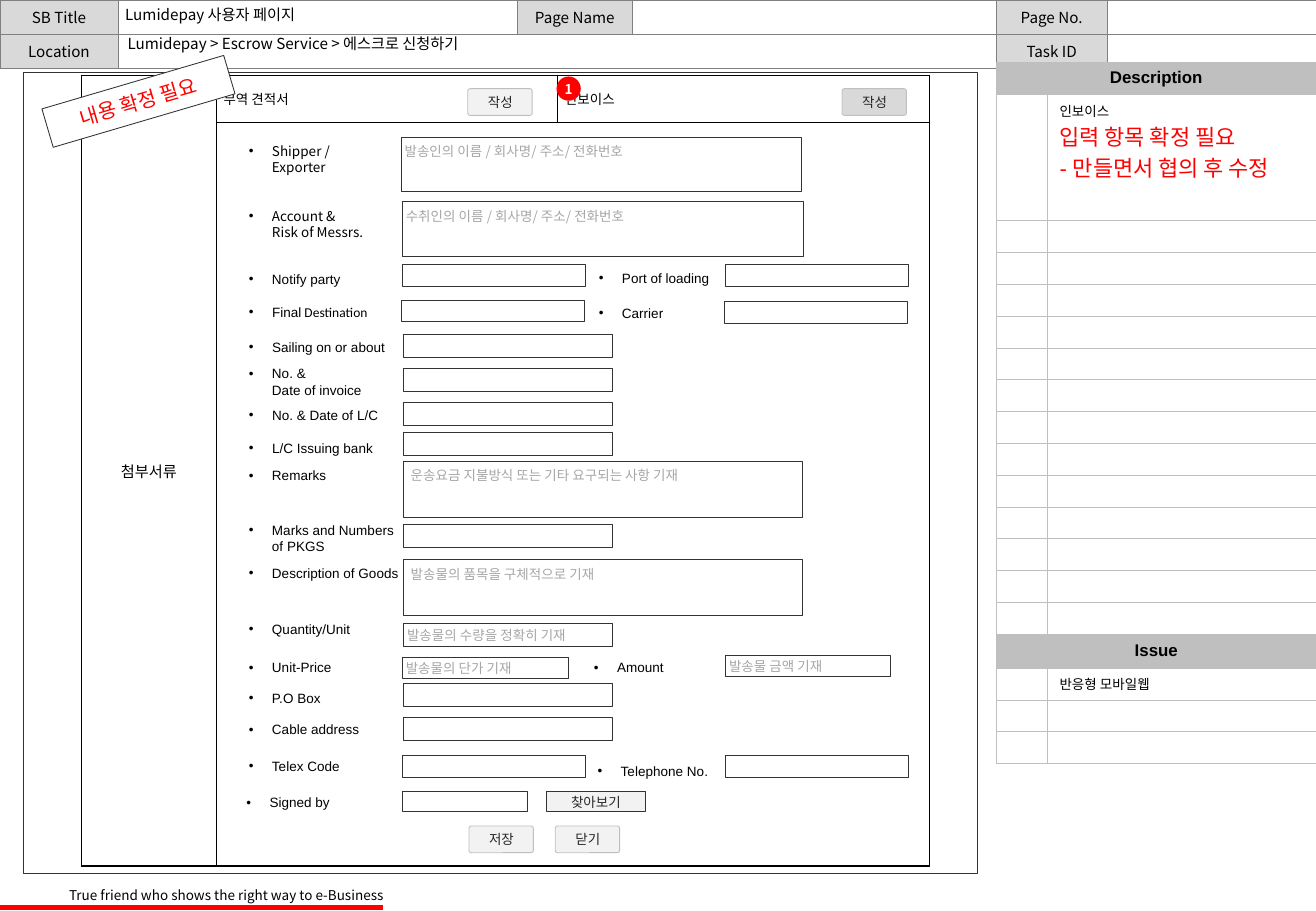
from dataclasses import dataclass
from typing import Optional

from lxml.etree import SubElement
from pptx import Presentation
from pptx.dml.color import RGBColor as Rgb
from pptx.enum.shapes import MSO_CONNECTOR as Link, MSO_SHAPE as Kind
from pptx.enum.text import MSO_ANCHOR as Anchor, PP_ALIGN as Align
from pptx.oxml.ns import qn
from pptx.util import Emu, Inches, Pt

BLACK = Rgb(0x00, 0x00, 0x00)
WHITE = Rgb(0xFF, 0xFF, 0xFF)
RED = Rgb(0xFF, 0x00, 0x00)
DARK = Rgb(0x33, 0x33, 0x33)
INK = Rgb(0x26, 0x26, 0x26)
HINT = Rgb(0xA6, 0xA6, 0xA6)
EDGE = Rgb(0x80, 0x80, 0x80)
MID = Rgb(0xBF, 0xBF, 0xBF)
PALE = Rgb(0xD9, 0xD9, 0xD9)
SOFT = Rgb(0xF2, 0xF2, 0xF2)
NOTO, ARIAL = "Noto Sans CJK KR", "Arial"

# The slide is a grid of 108.3 columns by 75 rows.
UNIT = Inches(0.1)


def grid(*spans: float) -> list[Emu]:
    return [Emu(round(span * UNIT)) for span in spans]


@dataclass
class Run:
    text: str
    size: float = 8
    color: Rgb = BLACK
    font: str = ARIAL
    bold: bool = False


@dataclass
class Box:
    x: float
    y: float
    w: float
    h: float
    run: Optional[Run] = None
    fill: Optional[Rgb] = None
    line: Optional[Rgb] = DARK
    kind: Kind = Kind.RECTANGLE
    pad: float = 0
    align: Align = Align.LEFT
    turn: float = 0


@dataclass
class Label:
    y: float
    runs: tuple[Run, ...]
    x: float = 19.5
    w: float = 11.6
    h: float = 2.4


@dataclass
class Cell:
    row: int
    col: int
    runs: tuple[Run, ...] = ()
    fill: Optional[Rgb] = None
    align: Align = Align.LEFT
    anchor: Anchor = Anchor.MIDDLE
    span: tuple[int, int] = (1, 1)


def write(par, run: Run) -> None:
    """Add a run; a newline in its text becomes a line break."""
    for n, part in enumerate(run.text.split("\n")):
        if n:
            par.add_line_break()
        bit = par.add_run()
        bit.text = part
        font = bit.font
        font.name, font.size, font.bold = run.font, Pt(run.size), run.bold
        font.color.rgb = run.color
        east = SubElement(font._element, qn("a:ea"))
        east.set("typeface", NOTO)


def draw(shapes, box: Box) -> None:
    shape = shapes.add_shape(box.kind, *grid(box.x, box.y, box.w, box.h))
    shape.shadow.inherit = False
    shape.rotation = box.turn
    if box.kind == Kind.ROUNDED_RECTANGLE:
        shape.adjustments[0] = 0.09
    if box.fill is None:
        shape.fill.background()
    else:
        shape.fill.solid()
        shape.fill.fore_color.rgb = box.fill
    if box.line is None:
        shape.line.fill.background()
    else:
        shape.line.color.rgb = box.line
        shape.line.width = Pt(0.5)
    if box.run:
        frame = shape.text_frame
        frame.margin_left, frame.margin_right = grid(box.pad, 0)
        frame.vertical_anchor = Anchor.TOP if box.h > 4 else Anchor.MIDDLE
        frame.paragraphs[0].alignment = box.align
        write(frame.paragraphs[0], box.run)


def tag(shapes, label: Label) -> None:
    """Add a bulleted form label."""
    frame = shapes.add_textbox(*grid(label.x, label.y, label.w, label.h)).text_frame
    frame.word_wrap = True
    par = frame.paragraphs[0]
    props = par._p.get_or_add_pPr()
    props.set("marL", str(Inches(0.19)))
    props.set("indent", str(-Inches(0.19)))
    SubElement(props, qn("a:buFont")).set("typeface", ARIAL)
    SubElement(props, qn("a:buChar")).set("char", "•")
    for run in label.runs:
        write(par, run)


def head(shapes, x: float, y: float, w: float, text: str) -> None:
    frame = shapes.add_textbox(*grid(x, y, w, 2.4)).text_frame
    frame.word_wrap = True
    frame.vertical_anchor = Anchor.MIDDLE
    frame.margin_left, frame.margin_right, frame.margin_top, frame.margin_bottom = grid(*[0.4] * 4)
    par = frame.paragraphs[0]
    par.line_spacing = 0.9
    write(par, Run(text, 9, font=NOTO))


def table(shapes, x: float, y: float, cols: list[float], rows: list[float],
          cells: list[Cell], edge: Rgb, width: float, base: Optional[Rgb] = None,
          pad: tuple[float, float] = (1, 0.5)) -> None:
    tab = shapes.add_table(len(rows), len(cols), *grid(x, y, sum(cols), sum(rows))).table
    tab.first_row = tab.horz_banding = False
    for col, size in zip(tab.columns, grid(*cols)):
        col.width = size
    for row, size in zip(tab.rows, grid(*rows)):
        row.height = size
    for cell in tab.iter_cells():
        props = cell._tc.get_or_add_tcPr()
        for side in "LRTB":
            line = SubElement(props, qn(f"a:ln{side}"), w=str(Pt(width)))
            SubElement(SubElement(line, qn("a:solidFill")), qn("a:srgbClr"), val=str(edge))
        paint(cell, base)
        cell.margin_left, cell.margin_right, cell.margin_top, cell.margin_bottom = grid(
            pad[0], pad[0], pad[1], pad[1])
    filled = {(item.row, item.col) for item in cells if item.runs}
    for r in range(len(rows)):
        for c in range(len(cols)):
            if (r, c) not in filled:
                par = tab.cell(r, c).text_frame.paragraphs[0]
                SubElement(par._p, qn("a:endParaRPr"), sz="800")
    for item in cells:
        cell = tab.cell(item.row, item.col)
        if item.span != (1, 1):
            cell.merge(tab.cell(item.row + item.span[0] - 1, item.col + item.span[1] - 1))
        paint(cell, item.fill or base)
        cell.vertical_anchor = item.anchor
        for n, run in enumerate(item.runs):
            frame = cell.text_frame
            par = frame.add_paragraph() if n else frame.paragraphs[0]
            par.alignment = item.align
            write(par, run)


def paint(cell, color: Optional[Rgb]) -> None:
    if color is None:
        cell.fill.background()
    else:
        cell.fill.solid()
        cell.fill.fore_color.rgb = color


def field(x: float, y: float, w: float = 17.2, h: float = 1.9, hint: str = "", pad: float = 0.3) -> Box:
    return Box(x, y, w, h, Run(hint, color=HINT, font=NOTO) if hint else None, pad=pad)


def button(x: float, y: float, text: str, fill: Rgb = SOFT) -> Box:
    return Box(x, y, 5.3, 2.2, Run(text, color=INK, font=NOTO), fill, MID,
               Kind.ROUNDED_RECTANGLE, 1.6)


def label(y: float, text: str, x: float = 19.5, w: float = 11.6, h: float = 2.4, font: str = ARIAL) -> Label:
    return Label(y, (Run(text, font=font),), x, w, h)


LABELS = [
    label(11.3, "Shipper / Exporter", h=3.7, font=NOTO),
    label(16.6, "Account & \nRisk of Messrs.", h=3.7, font=NOTO),
    label(21.8, "Notify party"), label(21.7, "Port of loading", 48.3, 15.8),
    Label(24.5, (Run("Final"), Run(" Destination", font="Calibri")), w=15.8),
    label(24.6, "Carrier", 48.3), label(27.4, "Sailing on or about", w=13.2),
    label(29.6, "No. & \nDate of invoice", h=3.7),
    label(33, "No. & Date of L/C", w=13.9), label(35.7, "L/C Issuing bank", w=13.2),
    label(38, "Remarks"), label(42.5, "Marks and Numbers of PKGS", w=14.7, h=3.7),
    label(46, "Description of Goods", w=14.7), label(50.6, "Quantity/Unit"),
    label(53.8, "Unit-Price"), label(53.8, "Amount", 47.9),
    label(56.3, "P.O Box"), label(58.9, "Cable address"),
    label(61.9, "Telex Code"), label(62.3, "Telephone No.", 48.2),
    label(64.9, "Signed by", 19.3),
]
PLAIN = [field(33.2, y) for y in (27.5, 30.3, 33.1, 35.6, 43.2, 56.3, 59.1)]
PAIRS = [field(x, y, 15.1, 1.8) for x, y in (
    (33.1, 21.8), (59.7, 21.8), (33, 24.7), (59.6, 24.8), (33.1, 62.2), (59.7, 62.2))]
HINTS = [
    field(33, 11.3, 33, 4.5, "발송인의 이름 / 회사명/ 주소/ 전화번호"),
    field(33.1, 16.6, 33, 4.5, "수취인의 이름 / 회사명/ 주소/ 전화번호"),
    field(33.2, 38, 32.8, 4.6, "운송요금 지불방식 또는 기타 요구되는 사항 기재", 0.6),
    field(33.2, 46.1, 32.8, 4.6, "발송물의 품목을 구체적으로 기재", 0.6),
    field(33.2, 51.3, hint="발송물의 수량을 정확히 기재"),
    field(33.1, 54.1, 13.7, 1.8, "발송물의 단가 기재"),
    field(59.7, 54, 13.6, 1.7, "발송물 금액 기재"),
]
BUTTONS = [button(69.3, 7.3, "작성", PALE), button(38.5, 7.3, "작성"),
           button(38.6, 68, "저장"), button(45.7, 68, "닫기")]
MARKS = [
    Box(45, 65.2, 8.1, 1.6, Run("찾아보기", color=INK, font=NOTO), SOFT, align=Align.CENTER),
    Box(33.1, 65.2, 10.3, 1.6, fill=WHITE),
    Box(45.8, 6.3, 2, 2, Run("1", 8, WHITE, NOTO, True), RED, None, Kind.OVAL, align=Align.CENTER),
    Box(3.6, 6.7, 15.6, 3.3, Run("내용 확정 필요", 12, RED, NOTO), WHITE, align=Align.CENTER, turn=343.6),
]
TOP = [Cell(r, c, (Run(text, 9, font=NOTO),), PALE, Align.CENTER) for r, c, text in (
    (0, 0, "SB Title"), (0, 2, "Page Name"), (0, 4, "Page No."), (1, 0, "Location"), (1, 4, "Task ID"))]
TOP.append(Cell(1, 1, span=(1, 3)))
NOTES = [Cell(r, 0, (Run(text, 10, bold=True),), MID, Align.CENTER, span=(1, 2))
         for r, text in ((0, "Description"), (15, "Issue"))]
NOTES += [
    Cell(1, 1, (Run("인보이스"), Run("입력 항목 확정 필요", 13, RED),
                Run("- 만들면서 협의 후 수정", 13, RED)), anchor=Anchor.TOP),
    Cell(16, 1, (Run("반응형 모바일웹"),)),
]
FORM = [
    Cell(0, 0, (Run("첨부서류", 9),), align=Align.CENTER, span=(2, 1)),
    Cell(0, 1, (Run("무역 견적서", font=NOTO),)), Cell(0, 2, (Run("인보이스"),)),
    Cell(1, 1, span=(1, 2)),
]


def main() -> None:
    deck = Presentation()
    deck.slide_width, deck.slide_height = grid(108.3, 75)
    shapes = deck.slides.add_slide(deck.slide_layouts[6]).shapes

    table(shapes, 0, 0, [9.7, 32.9, 9.4, 30, 9.1, 17.2], [2.8] * 2, TOP, EDGE, 0.25)
    rule = shapes.add_connector(Link.STRAIGHT, *grid(0, 74.7, 31.5, 74.7))
    rule.line.color.rgb, rule.line.width = RED, Pt(3)
    SubElement(rule._element.spPr, qn("a:effectLst"))
    foot = shapes.add_textbox(*grid(4.7, 72.5, 28.8, 2.4)).text_frame
    foot.word_wrap = False
    write(foot.paragraphs[0], Run("True friend who shows the right way to e-Business", font=NOTO))
    head(shapes, 9.9, 0.1, 32.5, "Lumidepay 사용자 페이지")
    head(shapes, 10.1, 2.5, 37.8, "Lumidepay > Escrow Service > 에스크로 신청하기")
    table(shapes, 82, 5.1, [4.2, 22.1], [2.6, 10.4] + [2.62] * 13 + [2.8] + [2.62] * 3, NOTES, MID, 0.5)
    draw(shapes, Box(1.9, 6, 78.5, 65.9))
    table(shapes, 6.7, 6.2, [11.1, 28.1, 30.6], [3.9, 61.2], FORM, BLACK, 1, WHITE, (0.6, 0.1))
    for item in LABELS:
        tag(shapes, item)
    for box in BUTTONS + PLAIN + PAIRS + HINTS + MARKS:
        draw(shapes, box)
    deck.save("out.pptx")


if __name__ == "__main__":
    main()
